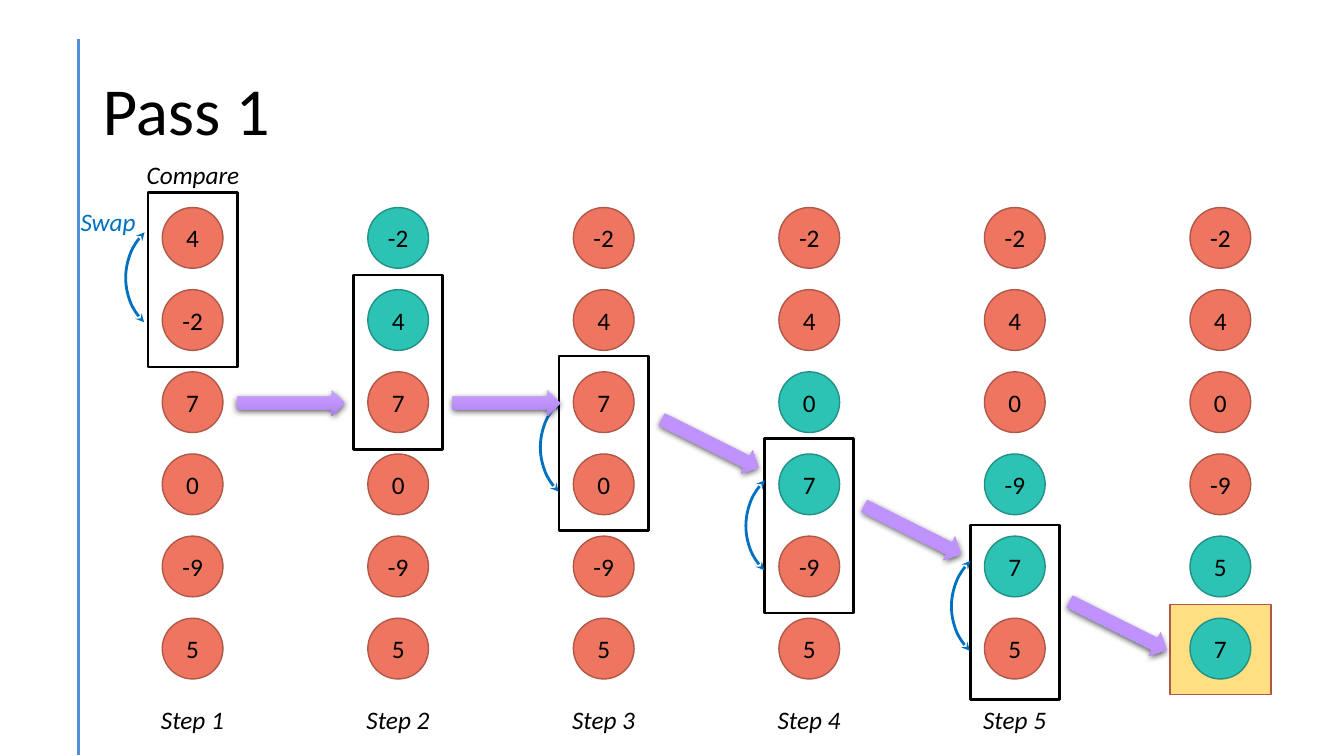
from lxml.etree import SubElement
from pptx import Presentation
from pptx.dml.color import RGBColor
from pptx.enum.shapes import MSO_CONNECTOR, MSO_SHAPE
from pptx.enum.text import MSO_ANCHOR, MSO_AUTO_SIZE, PP_ALIGN
from pptx.oxml import parse_xml
from pptx.oxml.ns import nsdecls, qn
from pptx.util import Cm, Pt

RED, RED_EDGE = "EE7661", "B05748"
TEAL, TEAL_EDGE = "2CC3B4", "219085"
BLACK, BLUE = "000000", "0070C0"
LEFT, COLUMN_STEP = 4.09, 5.18
TOP, ROW_STEP = 5.23, 2.07
DIAMETER = 1.53

COLUMNS = [
    ((4, -2, 7, 0, -9, 5), ()),
    ((-2, 4, 7, 0, -9, 5), (0, 1)),
    ((-2, 4, 7, 0, -9, 5), ()),
    ((-2, 4, 0, 7, -9, 5), (2, 3)),
    ((-2, 4, 0, -9, 7, 5), (3, 4)),
    ((-2, 4, 0, -9, 5, 7), (4, 5)),
]
FRAME_TOPS = [4.85, 6.93, 8.97, 11.05, 13.23]
SWAPS = [(3.18, 5.36), (13.63, 9.63), (18.81, 11.61), (23.99, 13.64)]
ARROWS = [
    (5.97, 9.83, 0),
    (11.4, 9.83, 0),
    (16.54, 10.85, 26.5),
    (21.64, 13.03, 26.5),
    (26.82, 15.44, 26.5),
]


def color(value):
    return RGBColor.from_string(value)


def write(shape, text, size=18, value=BLACK, italic=False, align=PP_ALIGN.CENTER):
    tf = shape.text_frame
    tf.word_wrap = True
    tf.text = text
    p = tf.paragraphs[0]
    p.alignment = align
    font = p.runs[0].font
    font.name = "Calibri"
    font.size = Pt(size)
    font.italic = italic
    font.color.rgb = color(value)
    return tf


def add_shape(slide, kind, x, y, w, h, fill=None, line=None, width=1):
    sp = slide.shapes.add_shape(kind, Cm(x), Cm(y), Cm(w), Cm(h))
    sp.shadow.inherit = False
    if fill:
        sp.fill.solid()
        sp.fill.fore_color.rgb = color(fill)
    else:
        sp.fill.background()
    sp.line.color.rgb = color(line)
    sp.line.width = Pt(width)
    return sp


def add_title(slide, text):
    title = slide.shapes.title
    title.left, title.top, title.width, title.height = Cm(2.33), Cm(1.02), Cm(29.21), Cm(3.68)
    tf = write(title, text, 48, align=PP_ALIGN.LEFT)
    tf.auto_size = MSO_AUTO_SIZE.NONE
    tf.vertical_anchor = MSO_ANCHOR.MIDDLE
    tf.paragraphs[0].line_spacing = 0.9


def add_guide(slide):
    guide = slide.shapes.add_connector(MSO_CONNECTOR.STRAIGHT, Cm(1.98), Cm(0.99), Cm(1.98), Cm(19.02))
    guide.line.color.rgb = color("548DD8")
    guide.line.width = Pt(2)
    SubElement(guide._element.spPr, qn("a:effectLst"))


def add_label(slide, text, x, y, w, value=BLACK):
    write(slide.shapes.add_textbox(Cm(x), Cm(y), Cm(w), Cm(1.02)), text, value=value, italic=True)


def add_number(slide, number, x, y, moved):
    fill, edge = (TEAL, TEAL_EDGE) if moved else (RED, RED_EDGE)
    sp = add_shape(slide, MSO_SHAPE.OVAL, x, y, DIAMETER, DIAMETER, fill, edge)
    tf = write(sp, str(number))
    tf.vertical_anchor = MSO_ANCHOR.MIDDLE
    tf.margin_left = tf.margin_right = 0


def add_sorted_mark(slide):
    sp = add_shape(slide, MSO_SHAPE.RECTANGLE, 29.49, 15.24, 2.54, 2.26, "FFC000", RED_EDGE)
    srgb = sp._element.spPr.find(qn("a:solidFill")).find(qn("a:srgbClr"))
    SubElement(srgb, qn("a:alpha"), val="50000")


def add_swap(slide, x, y):
    sp = add_shape(slide, MSO_SHAPE.ARC, x, y, 3.18, 3.23, line=BLUE, width=2)
    sp.rotation = 224.9
    ln = sp._element.spPr.find(qn("a:ln"))
    for end in ("a:headEnd", "a:tailEnd"):
        SubElement(ln, qn(end), type="stealth")


def add_step_arrow(slide, x, y, rotation):
    sp = slide.shapes.add_shape(MSO_SHAPE.RIGHT_ARROW, Cm(x), Cm(y), Cm(2.72), Cm(0.66))
    sp.rotation = rotation
    stops = "".join(
        f'<a:gs pos="{pos}"><a:srgbClr val="{value}"/></a:gs>'
        for pos, value in ((0, "C8A5FA"), (50000, "BF92FD"), (100000, "A97EE5"))
    )
    sp._element.spPr.append(parse_xml(
        f'<a:gradFill {nsdecls("a")} rotWithShape="1"><a:gsLst>{stops}</a:gsLst>'
        '<a:lin ang="5400000" scaled="0"/></a:gradFill>'
    ))
    sp.line.fill.background()
    sp.shadow.inherit = False
    sp._element.spPr.find(qn("a:effectLst")).append(parse_xml(
        f'<a:outerShdw {nsdecls("a")} blurRad="57150" dist="19050" dir="5400000" algn="ctr" '
        'rotWithShape="0"><a:srgbClr val="000000"><a:alpha val="63000"/></a:srgbClr></a:outerShdw>'
    ))


def main():
    prs = Presentation()
    prs.slide_width, prs.slide_height = Cm(33.87), Cm(19.05)
    slide = prs.slides.add_slide(prs.slide_layouts[5])
    add_guide(slide)
    add_title(slide, "Pass 1")
    add_sorted_mark(slide)
    for column, (numbers, moved) in enumerate(COLUMNS):
        x = LEFT + column * COLUMN_STEP
        for row, number in enumerate(numbers):
            add_number(slide, number, x, TOP + row * ROW_STEP, row in moved)
    for column, top in enumerate(FRAME_TOPS):
        x = LEFT + column * COLUMN_STEP
        add_shape(slide, MSO_SHAPE.RECTANGLE, x - 0.36, top, 2.25, 4.4, line=BLACK, width=2)
        add_label(slide, f"Step {column + 1}", x - 0.6, 17.63, 2.72)
    for x, y in SWAPS:
        add_swap(slide, x, y)
    for x, y, rotation in ARROWS:
        add_step_arrow(slide, x, y, rotation)
    add_label(slide, "Compare", 3.33, 3.89, 3.07)
    add_label(slide, "Swap", 1.19, 5.08, 3.07, BLUE)
    prs.save("out.pptx")


if __name__ == "__main__":
    main()
